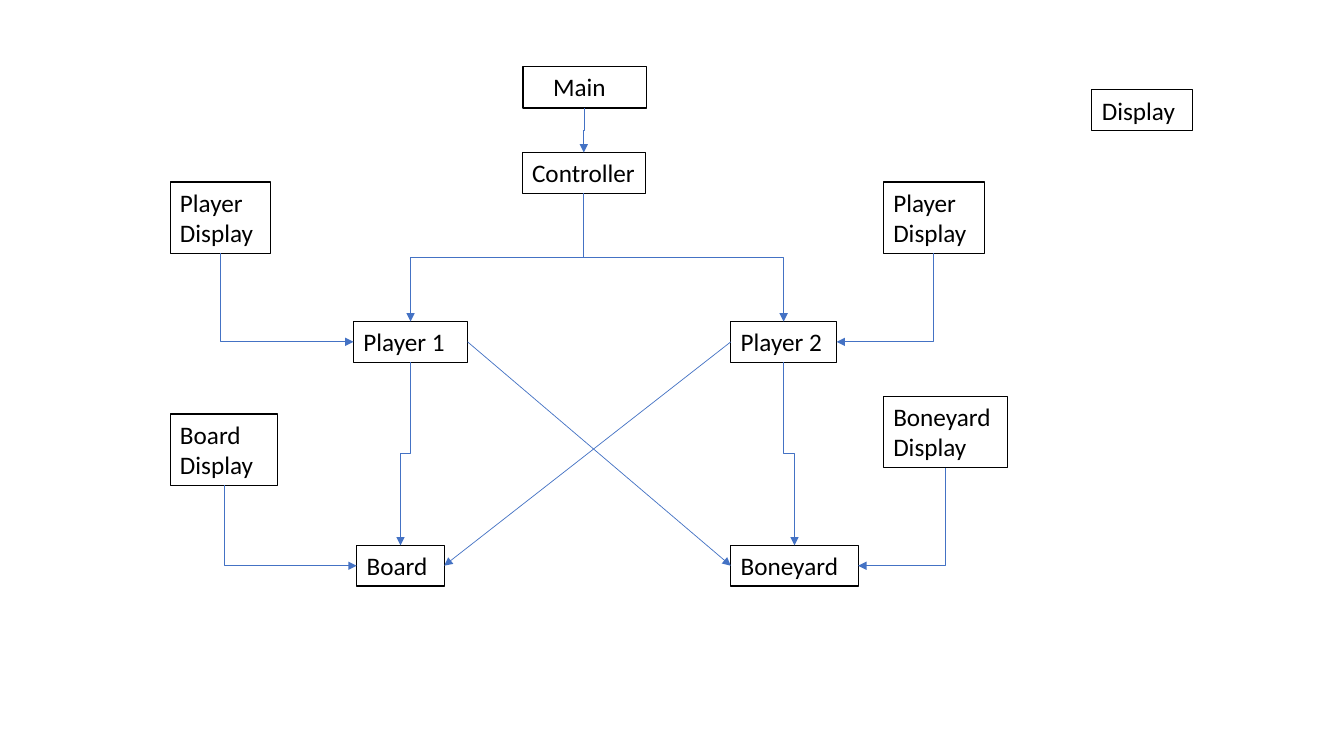
from dataclasses import dataclass

from lxml import etree
from pptx import Presentation
from pptx.dml.color import RGBColor
from pptx.enum import shapes, text
from pptx.oxml import ns
from pptx.util import Pt


@dataclass(frozen=True)
class Theme:
    ink: RGBColor = RGBColor(0, 0, 0)
    link: RGBColor = RGBColor(0x44, 0x72, 0xC4)
    font: str = "Calibri"
    size: float = 18
    edge: float = 0.75
    frame: float = 1
    wire: float = 0.5
    row: float = 29  # height of a one-line box
    pair: float = 51  # height of a two-line box


T = Theme()


def apply(obj, form):
    for key, val in form.items():
        setattr(obj, key, val)


def write(shape, words, wrap=True):
    apply(shape.text_frame, dict(
        word_wrap=wrap, vertical_anchor=text.MSO_ANCHOR.TOP))
    par = shape.text_frame.paragraphs[0]
    par.alignment = text.PP_ALIGN.LEFT
    run = par.add_run()
    run.text = words
    apply(run.font, dict(name=T.font, size=Pt(T.size)))
    run.font.color.rgb = T.ink


def node(slide, words, x, y, w, h=T.row, edge=T.edge, wrap=True):
    box = slide.shapes.add_shape(
        shapes.MSO_SHAPE.RECTANGLE, Pt(x), Pt(y), Pt(w), Pt(h))
    box.shadow.inherit = False
    box.fill.background()
    box.line.color.rgb = T.ink
    box.line.width = Pt(edge)
    if words:
        write(box, words, wrap)
    return box


# Points on the edges of a box
def top(box):
    return box.left + box.width // 2, box.top


def base(box):
    return box.left + box.width // 2, box.top + box.height


def west(box):
    return box.left, box.top + box.height // 2


def east(box):
    return box.left + box.width, box.top + box.height // 2


def wire(slide, kind, *ends):
    line = slide.shapes.add_connector(kind, *ends)
    line.line.color.rgb = T.link
    line.line.width = Pt(T.wire)
    props = line._element.spPr
    etree.SubElement(props.find(ns.qn("a:ln")), ns.qn("a:tailEnd"),
                     type="triangle")
    etree.SubElement(props, ns.qn("a:effectLst"))
    return props


def arrow(slide, start, end):
    wire(slide, shapes.MSO_CONNECTOR.STRAIGHT, *start, *end)


def bend(slide, start, end, turns=2):
    """Arrow that leaves downwards: an elbow turned by a quarter."""
    (x1, y1), (x2, y2) = start, end
    wide, high = abs(x2 - x1), y2 - y1
    x, y = (x1 + x2 - high) // 2, (y1 + y2 - wide) // 2
    props = wire(slide, shapes.MSO_CONNECTOR.ELBOW, x, y, x + high, y + wide)
    props.find(ns.qn("a:prstGeom")).set("prst", f"bentConnector{turns + 1}")
    frame = props.find(ns.qn("a:xfrm"))
    frame.set("rot", str((270 if x2 > x1 else 90) * 60000))
    if x2 > x1:
        frame.set("flipH", "1")


# Main and Controller
def control(slide, x, y, w):
    main = node(slide, "", x + 0.7, y, w, T.row + 0.7, T.frame)
    label = slide.shapes.add_textbox(Pt(x + 15), Pt(y), Pt(64), Pt(T.row))
    write(label, "Main")
    ctrl = node(slide, "Controller", x, y + 61.5, w, wrap=False)
    bend(slide, base(main), top(ctrl))
    return ctrl


# One player with the store below and a display for each
def side(slide, x, y, ctrl, player, store, views, port):
    """Each part is words, offset and width; a view also has its drop."""
    (name, dx, w), (stock, sx, sw) = player, store
    who = node(slide, name, x + dx, y + 99.7, w)
    pile = node(slide, stock, x + sx, y + 259.6, sw)
    bend(slide, base(ctrl), top(who))
    bend(slide, base(who), top(pile))
    for (words, vx, vy, vw), goal in zip(views, (who, pile)):
        view = node(slide, words, x + vx, y + vy, vw, T.pair)
        bend(slide, base(view), port(goal), turns=1)
    return who, pile


def build(slide):
    ctrl = control(slide, 373, 47.5, 88)
    one, board = side(
        slide, 121.5, 130, ctrl, ("Player 1", 131, 81.5), ("Board", 133.3, 62.5),
        [("Player Display", 0, 0, 72), ("Board Display", 0, 165.7, 77)], west)
    two, yard = side(
        slide, 522, 130, ctrl, ("Player 2", 0, 75.6), ("Boneyard", 0, 91),
        [("Player Display", 109, 0, 72), ("Boneyard Display", 109, 153, 89)],
        east)
    # Each player also reaches the store on the other side
    arrow(slide, east(one), west(yard))
    arrow(slide, west(two), east(board))
    node(slide, "Display", 780, 64.2, 72)


def main():
    deck = Presentation()
    apply(deck, dict(slide_width=Pt(960), slide_height=Pt(540)))
    build(deck.slides.add_slide(deck.slide_layouts[6]))
    deck.save("out.pptx")


if __name__ == "__main__":
    main()
